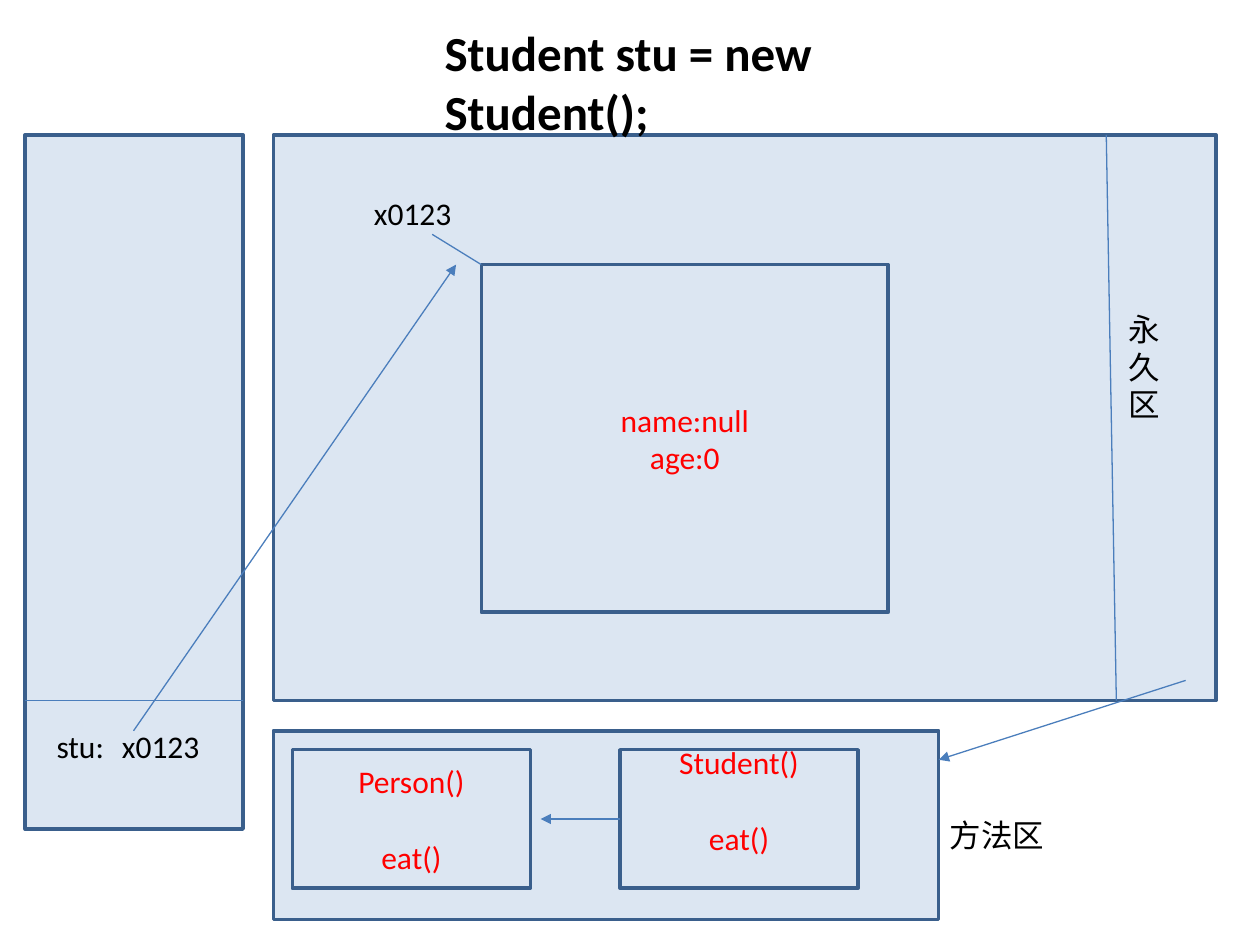
from lxml import etree
from pptx import Presentation
from pptx.dml.color import RGBColor
from pptx.enum import shapes, text
from pptx.oxml.ns import qn
from pptx.util import Inches, Pt

PALE = RGBColor(0xDC, 0xE6, 0xF2)
EDGE = RGBColor(0x3A, 0x5F, 0x8C)
LINE = RGBColor(0x4B, 0x7E, 0xBC)
BLACK = RGBColor(0, 0, 0)
RED = RGBColor(0xFF, 0, 0)

WIDTH, HEIGHT = 10, 7.5
STACK_LEFT, STACK_WIDTH = 0.2, 1.73
HEAP_LEFT, HEAP_TOP, HEAP_HEIGHT = 2.17, 1.07, 4.49
HEAP_BOTTOM = HEAP_TOP + HEAP_HEIGHT
METHOD_TOP, METHOD_WIDTH = 5.8, 5.28
METHOD_RIGHT = HEAP_LEFT + METHOD_WIDTH
OBJECT_LEFT, OBJECT_TOP = 3.82, 2.1
CLASS_LEFT, CLASS_STEP, CLASS_TOP = 2.32, 2.6, 5.95
CLASS_WIDTH, CLASS_HEIGHT = 1.89, 1.1
CLASS_MIDDLE = CLASS_TOP + CLASS_HEIGHT / 2
BLANK_LINE = 22

AREAS = [
    (STACK_LEFT, HEAP_TOP, STACK_WIDTH, 5.51),
    (HEAP_LEFT, HEAP_TOP, 7.48, HEAP_HEIGHT),
    (HEAP_LEFT, METHOD_TOP, METHOD_WIDTH, 1.5),
]
OBJECT = (OBJECT_LEFT, OBJECT_TOP, 3.23, 2.76)
FIELDS = ["name:null", "age:0"]
CLASSES = [["Person()", "eat()"], ["Student()", "eat()"]]
LABELS = [
    (["Student stu = new Student();"], (3.43, 0.13, 4.72, 0.57), 28, True),
    (["方法区"], (7.44, 6.43, 1.97, 0.4), 18, False),
    (["永", "久", "区"], (8.86, 2.41, 0.79, 1.01), 18, False),
    (["stu:"], (0.35, 5.72, 1.02, 0.4), 18, False),
    (["x0123"], (2.87, 1.49, 1.26, 0.4), 18, False),
    (["x0123"], (0.87, 5.72, 1.26, 0.4), 18, False),
]
LINES = [
    ((8.78, HEAP_TOP), (8.86, HEAP_BOTTOM), False),
    ((9.41, 5.4), (METHOD_RIGHT, 6.03), True),
    ((STACK_LEFT, HEAP_BOTTOM), (STACK_LEFT + STACK_WIDTH, HEAP_BOTTOM), False),
    ((OBJECT_LEFT, OBJECT_TOP), (3.43, 1.86), False),
    ((1.06, METHOD_TOP), (3.62, OBJECT_TOP), True),
]


def write(frame, lines, size, color, bold=False, align=None, gap=0):
    frame.word_wrap = True
    for index, line in enumerate(lines):
        para = frame.add_paragraph() if index else frame.paragraphs[0]
        para.alignment = align
        if index and gap:
            para.space_before = Pt(gap)
        span = para.add_run()
        span.text = line
        span.font.name = "Calibri"
        span.font.size = Pt(size)
        span.font.bold = bold
        span.font.color.rgb = color


def add_box(page, place, lines=(), gap=0):
    box = page.shapes.add_shape(shapes.MSO_SHAPE.RECTANGLE, *map(Inches, place))
    box.shadow.inherit = False
    box.fill.solid()
    box.fill.fore_color.rgb = PALE
    box.line.color.rgb = EDGE
    box.line.width = Pt(2)
    box.text_frame.vertical_anchor = text.MSO_ANCHOR.MIDDLE
    write(box.text_frame, lines, 18, RED, align=text.PP_ALIGN.CENTER, gap=gap)
    return box


def add_label(page, lines, place, size, bold):
    box = page.shapes.add_textbox(*map(Inches, place))
    write(box.text_frame, lines, size, BLACK, bold)


def add_line(page, start, end, arrow):
    line = page.shapes.add_connector(
        shapes.MSO_CONNECTOR.STRAIGHT, *map(Inches, start + end))
    line.line.color.rgb = LINE
    line.line.width = Pt(0.75)
    if arrow:
        etree.SubElement(line.line._get_or_add_ln(), qn("a:tailEnd"), type="triangle")
    etree.SubElement(line._element.spPr, qn("a:effectLst"))
    return line


def main():
    deck = Presentation()
    deck.slide_width, deck.slide_height = Inches(WIDTH), Inches(HEIGHT)
    page = deck.slides.add_slide(deck.slide_layouts[6])

    for place in AREAS:
        add_box(page, place)
    add_box(page, OBJECT, FIELDS)

    person, student = [
        add_box(page, (CLASS_LEFT + index * CLASS_STEP, CLASS_TOP,
                       CLASS_WIDTH, CLASS_HEIGHT), methods, BLANK_LINE)
        for index, methods in enumerate(CLASSES)
    ]
    student.text_frame.margin_top = 0
    student.text_frame.margin_bottom = Inches(0.3)

    for label in LABELS:
        add_label(page, *label)
    for start, end, arrow in LINES:
        add_line(page, start, end, arrow)
    inherits = add_line(page, (CLASS_LEFT + CLASS_STEP, CLASS_MIDDLE),
                        (4.29, CLASS_MIDDLE), True)
    inherits.begin_connect(student, 1)

    deck.save("out.pptx")


if __name__ == "__main__":
    main()
